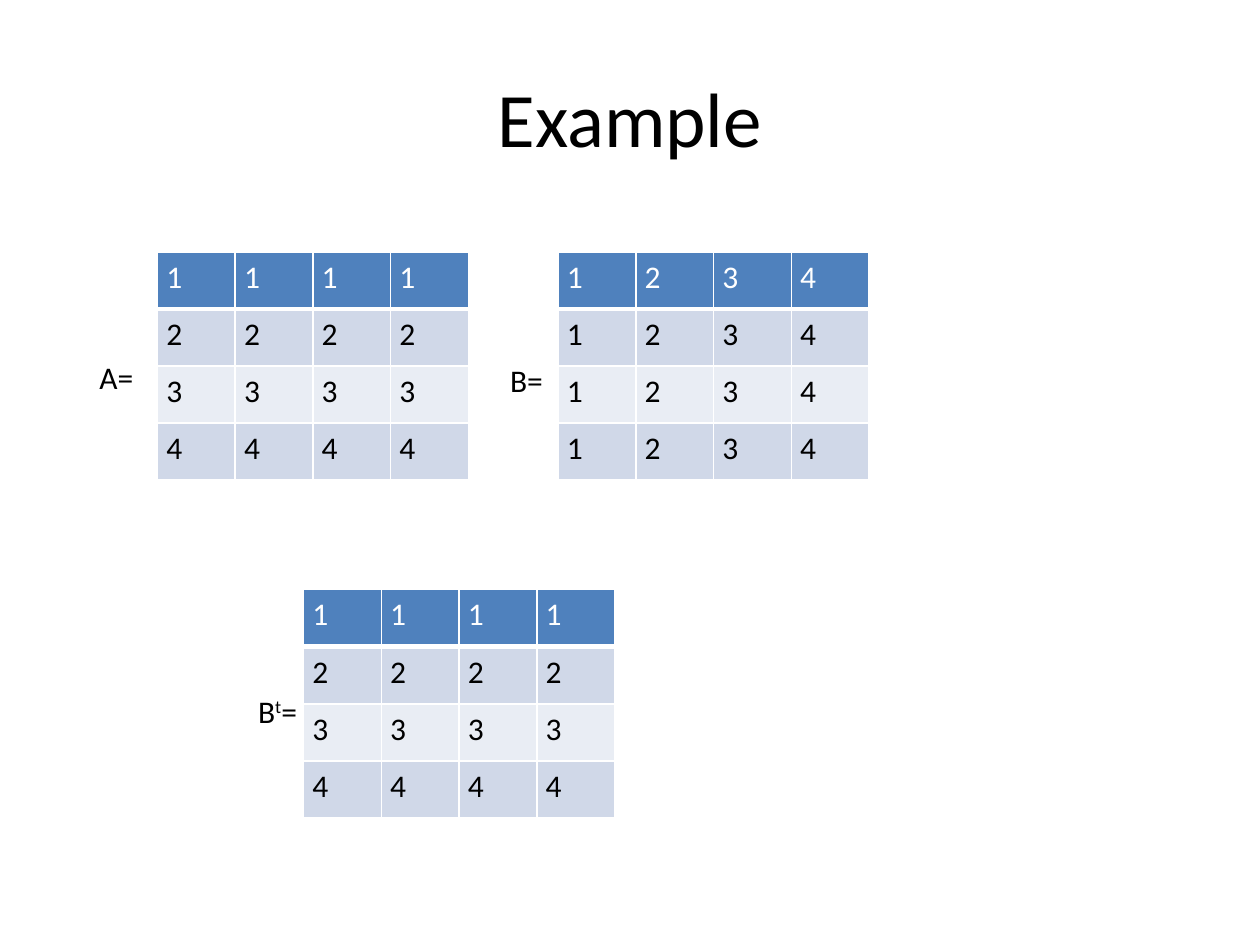
from dataclasses import dataclass

from lxml.etree import SubElement
from pptx import Presentation
from pptx.dml.color import RGBColor
from pptx.enum.text import MSO_ANCHOR as Anchor, MSO_AUTO_SIZE as AutoSize, PP_ALIGN as Align
from pptx.oxml.ns import qn
from pptx.slide import Slide
from pptx.table import _Cell as Cell
from pptx.text.text import Font
from pptx.util import Inches, Pt

COLORS = {
    "text": "000000",
    "line": "FFFFFF",
    "header_text": "FFFFFF",
    "header": "4F81BD",
    "odd_band": "D0D8E8",
    "even_band": "E9EDF4",
}
CELL_WIDTH = 0.617
CELL_HEIGHT = 0.453


@dataclass
class Matrix:
    name: str
    exponent: str
    label_left: float
    label_top: float
    label_width: float
    left: float
    top: float
    rows: list[list[int]]


def style(font: Font, size: float, color: str) -> None:
    font.name = "Calibri"
    font.size = Pt(size)
    font.color.rgb = RGBColor.from_string(COLORS[color])


def draw_borders(cell: Cell, bottom: float) -> None:
    properties = cell._tc.get_or_add_tcPr()
    for side, width in (("L", 1), ("R", 1), ("T", 1), ("B", bottom)):
        line = SubElement(properties, qn(f"a:ln{side}"), w=str(Pt(width)))
        fill = SubElement(line, qn("a:solidFill"))
        SubElement(fill, qn("a:srgbClr"), val=COLORS["line"])


def draw_title(slide: Slide, text: str) -> None:
    title = slide.shapes.add_textbox(Inches(0.5), Inches(0.3), Inches(9), Inches(1.25))
    frame = title.text_frame
    frame.word_wrap = True
    frame.vertical_anchor = Anchor.MIDDLE
    frame.text = text
    paragraph = frame.paragraphs[0]
    paragraph.alignment = Align.CENTER
    style(paragraph.runs[0].font, 44, "text")


def draw_grid(slide: Slide, matrix: Matrix) -> None:
    row_count, column_count = len(matrix.rows), len(matrix.rows[0])
    grid = slide.shapes.add_table(
        row_count, column_count, Inches(matrix.left), Inches(matrix.top),
        Inches(CELL_WIDTH * column_count), Inches(CELL_HEIGHT * row_count),
    ).table
    for column in grid.columns:
        column.width = Inches(CELL_WIDTH)
    for r, values in enumerate(matrix.rows):
        grid.rows[r].height = Inches(CELL_HEIGHT)
        band = "header" if r == 0 else "odd_band" if r % 2 else "even_band"
        for c, value in enumerate(values):
            cell = grid.cell(r, c)
            draw_borders(cell, 1 if r else 3)
            cell.fill.solid()
            cell.fill.fore_color.rgb = RGBColor.from_string(COLORS[band])
            cell.margin_left = cell.margin_right = Inches(0.07)
            cell.margin_top = cell.margin_bottom = Inches(0.05)
            cell.text_frame.text = str(value)
            font = cell.text_frame.paragraphs[0].runs[0].font
            style(font, 18, "text" if r else "header_text")
            font.bold = False


def draw_label(slide: Slide, matrix: Matrix) -> None:
    label = slide.shapes.add_textbox(
        Inches(matrix.label_left), Inches(matrix.label_top),
        Inches(matrix.label_width), Inches(0.4),
    )
    frame = label.text_frame
    frame.word_wrap = False
    frame.auto_size = AutoSize.SHAPE_TO_FIT_TEXT
    if matrix.exponent:
        parts = [(matrix.name, 0), (matrix.exponent, 30000), ("=", 0)]
    else:
        parts = [(f"{matrix.name}=", 0)]
    for text, baseline in parts:
        run = frame.paragraphs[0].add_run()
        run.text = text
        style(run.font, 18, "text")
        if baseline:
            run._r.get_or_add_rPr().set("baseline", str(baseline))


by_row = [[n] * 4 for n in range(1, 5)]
by_column = [list(range(1, 5)) for _ in range(4)]
matrices = [
    Matrix("A", "", 0.69, 2.79, 0.47, 1.25, 2, by_row),
    Matrix("B", "", 3.95, 2.82, 0.46, 4.43, 2, by_column),
    Matrix("B", "t", 1.95, 5.44, 0.52, 2.41, 4.68, by_row),
]

deck = Presentation()
deck.slide_width = Inches(10)
deck.slide_height = Inches(7.5)
example = deck.slides.add_slide(deck.slide_layouts[6])
draw_title(example, "Example")
for draw in (draw_grid, draw_label):
    for matrix in matrices:
        draw(example, matrix)
deck.save("out.pptx")
